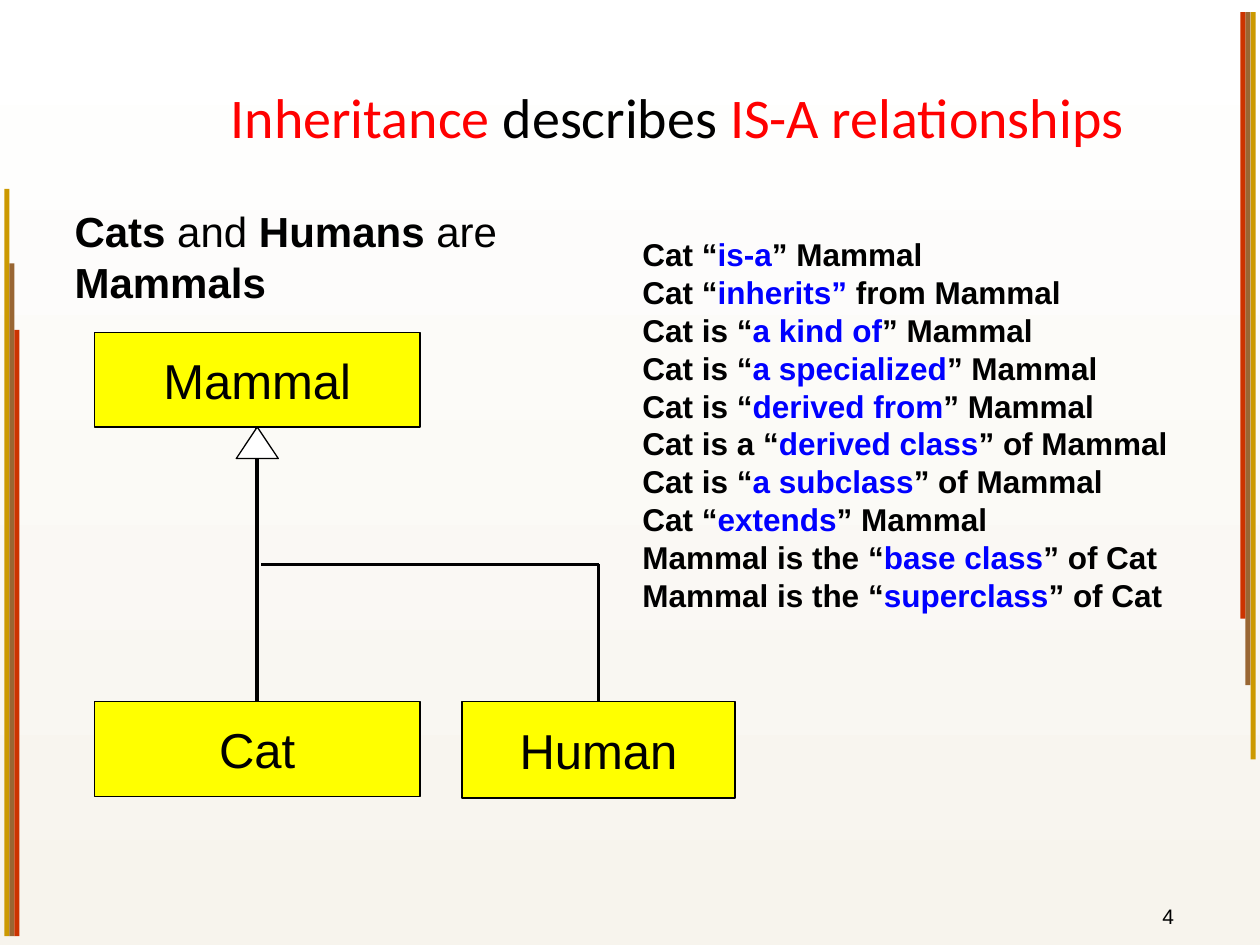
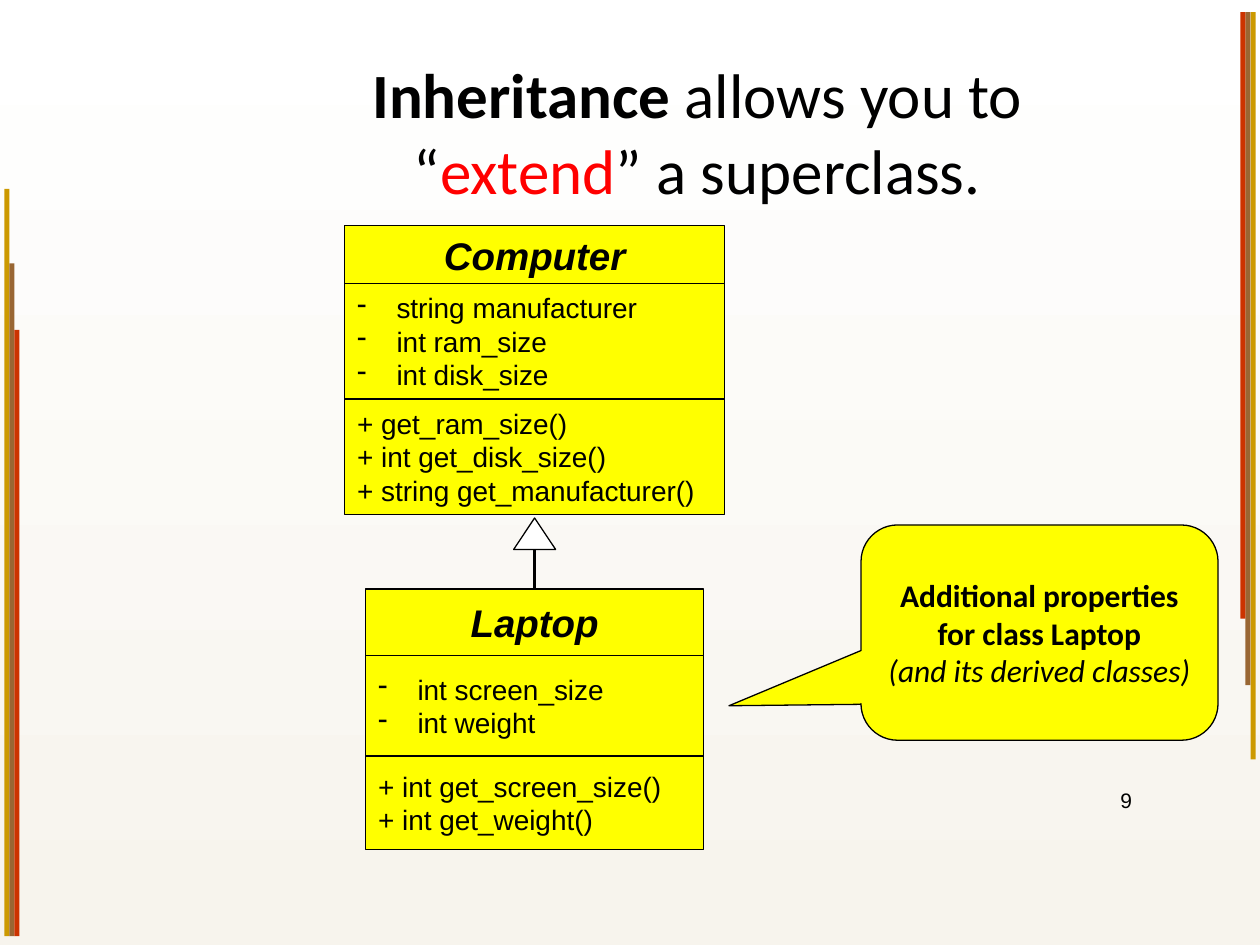
from lxml import etree
from pptx import Presentation, util as u
from pptx.dml.color import RGBColor
from pptx.enum import shapes, text
from pptx.oxml import ns

Pt = u.Pt
SHAPE = shapes.MSO_SHAPE
CENTER, RIGHT = text.PP_ALIGN.CENTER, text.PP_ALIGN.RIGHT
MIDDLE, BOTTOM = text.MSO_ANCHOR.MIDDLE, text.MSO_ANCHOR.BOTTOM
WIDTH, HEIGHT = 720, 540
COLORS = {
    "black": "000000", "white": "FFFFFF", "cream": "F7F4ED", "yellow": "FFFF00",
    "red": "FF0000", "blue": "0000FF",
    "gold": "CC9900", "brown": "996633", "rust": "CC3300",
}
BREAK = "\v"


def color(name):
    return RGBColor.from_string(COLORS[name])


def set_bullet(paragraph, bullet, indent=22.5):
    properties = paragraph._p.get_or_add_pPr()
    properties.set("marL", str(Pt(indent)))
    properties.set("indent", str(-Pt(indent)))
    etree.SubElement(properties, ns.qn("a:buChar")).set("char", bullet)


def write(frame, lines, align=None, anchor=None, wrap=True, bullet=None, **base):
    """Write lines of runs; a run is a string or (string, changed formats)."""
    frame.word_wrap = wrap
    if anchor is not None:
        frame.vertical_anchor = anchor
    for index, line in enumerate(lines):
        paragraph = frame.paragraphs[0] if index == 0 else frame.add_paragraph()
        if align is not None:
            paragraph.alignment = align
        if bullet:
            set_bullet(paragraph, bullet)
        for part in [line] if isinstance(line, str) else line:
            if part == BREAK:
                paragraph.add_line_break()
                continue
            words, changes = (part, {}) if isinstance(part, str) else part
            style = {"font": "Arial", "size": 18, "fill": "black",
                     "bold": False, "italic": False, **base, **changes}
            run = paragraph.add_run()
            run.text = words
            run.font.name = style["font"]
            run.font.size = Pt(style["size"])
            run.font.bold = style["bold"]
            run.font.italic = style["italic"]
            run.font.color.rgb = color(style["fill"])


class Deck:
    """Holds the shared style and the slide being drawn."""

    BANDS = (("gold", 427), ("brown", 384.5), ("rust", 346.5))
    BAND_WIDTH, BAND_MARGIN, BAND_END = 2.9, 2.5, 535

    def __init__(self):
        self.presentation = Presentation()
        self.presentation.slide_width = Pt(WIDTH)
        self.presentation.slide_height = Pt(HEIGHT)
        self.slide = None

    def start_slide(self, title, box, size, number, number_at):
        layout = self.presentation.slide_layouts.get_by_name("Title Only")
        self.slide = self.presentation.slides.add_slide(layout)
        self.background()
        self.bands()
        placeholder = self.slide.shapes.title
        placeholder.left, placeholder.top, placeholder.width, placeholder.height = map(Pt, box)
        write(placeholder.text_frame, [title], align=CENTER, anchor=MIDDLE,
              font="Calibri", size=size)
        self.text([number], (*number_at, 48, 24), align=RIGHT, anchor=BOTTOM, size=12)

    def background(self):
        fill = self.slide.background.fill
        fill.gradient()
        fill.gradient_angle = 270
        for stop, name in zip(fill.gradient_stops, ("white", "cream")):
            stop.color.rgb = color(name)

    def bands(self):
        # The right-hand bands are the left-hand ones turned by half a circle
        for index, (name, height) in enumerate(self.BANDS):
            left = self.BAND_MARGIN + index * self.BAND_WIDTH
            self.shape((left, self.BAND_END - height, self.BAND_WIDTH, height),
                       name, outlined=False)
            self.shape((WIDTH - left - self.BAND_WIDTH, 7, self.BAND_WIDTH, height),
                       name, outlined=False)

    def shape(self, box, fill="yellow", kind=SHAPE.RECTANGLE, outlined=True):
        shape = self.slide.shapes.add_shape(kind, *map(Pt, box))
        shape.shadow.inherit = False
        shape.fill.solid()
        shape.fill.fore_color.rgb = color(fill)
        if outlined:
            shape.line.color.rgb = color("black")
            shape.line.width = Pt(0.75)
        else:
            shape.line.fill.background()
        return shape

    def box(self, lines, box, align=CENTER, kind=SHAPE.RECTANGLE, **style):
        shape = self.shape(box, kind=kind)
        write(shape.text_frame, lines, align=align, anchor=MIDDLE, **style)
        return shape

    def text(self, lines, box, **style):
        write(self.slide.shapes.add_textbox(*map(Pt, box)).text_frame, lines, **style)

    def line(self, *ends):
        connector = self.slide.shapes.add_connector(
            shapes.MSO_CONNECTOR.STRAIGHT, *map(Pt, ends))
        connector.line.color.rgb = color("black")
        connector.line.width = Pt(2)
        etree.SubElement(connector._element.spPr, ns.qn("a:effectLst"))

    def arrowhead(self, tip_x, tip_y):
        self.shape((tip_x - 12, tip_y, 24, 18), "white", SHAPE.ISOSCELES_TRIANGLE)

    def class_box(self, name, attributes, methods, left, top, width, heights):
        """Stack the name, attribute and method cells of a class diagram."""
        left_align = text.PP_ALIGN.LEFT
        cells = (
            ([name], {"size": 22, "bold": True, "italic": True}),
            (attributes, {"size": 16, "align": left_align, "bullet": "-"}),
            (methods, {"size": 16, "align": left_align}),
        )
        for (lines, style), height in zip(cells, heights):
            self.box(lines, (left, top, width, height), **style)
            top += height


def is_a_slide(deck):
    red, blue, bold = {"fill": "red"}, {"fill": "blue"}, {"bold": True}
    deck.start_slide(
        [("Inheritance", red), " describes ", ("IS-A relationships", red)],
        (90, 21.6, 594, 90), 32, "4", (630, 510))

    # Class tree
    mammal_x, human_x = 147, 342
    mammal_bottom, branch_y, child_top = 244, 322.5, 401
    deck.box(["Mammal"], (54, 190, 186, 54), size=28)
    deck.box(["Cat"], (54, child_top, 186, 54), size=28)
    deck.box(["Human"], (264, child_top, 156, 55), size=28)
    deck.line(mammal_x, mammal_bottom, mammal_x, child_top)
    deck.line(human_x, child_top, human_x, branch_y)
    deck.line(human_x, branch_y, mammal_x + 2, branch_y)
    deck.arrowhead(mammal_x, mammal_bottom)

    # Ways to say it
    phrases = (
        ("Cat “", "is-a", "” Mammal"),
        ("Cat “", "inherits” ", "from Mammal"),
        ("Cat is “", "a kind of", "” Mammal"),
        ("Cat is “", "a specialized", "” Mammal"),
        ("Cat is “", "derived from", "” Mammal"),
        ("Cat is a “", "derived class", "” of Mammal"),
        ("Cat is “", "a subclass", "” of Mammal"),
        ("Cat “", "extends", "” Mammal"),
        ("Mammal is the “", "base class", "” of Cat"),
        ("Mammal is the “", "superclass", "” of Cat"),
    )
    deck.text([[before, (term, blue), after] for before, term, after in phrases],
              (360, 131, 326, 225), wrap=False, bold=True)
    deck.text([[("Cats", bold), " and ", ("Humans", bold), " are ", ("Mammals", bold)]],
              (35.5, 114, 336, 65.5), size=24)


def extend_slide(deck):
    deck.start_slide(
        [("Inheritance", {"bold": True}), " allows you to ", BREAK,
         "“", ("extend", {"fill": "red"}), "” a superclass. "],
        (96.5, 21, 612, 108), 36, "9", (606, 444))

    # Superclass and subclass
    deck.class_box(
        "Computer",
        ["string manufacturer", "int ram_size", "int disk_size"],
        ["+ get_ram_size()", "+ int get_disk_size()", "+ string get_manufacturer()"],
        197, 129, 217, (33, 66, 66))
    deck.class_box(
        "Laptop",
        ["int screen_size", "int weight"],
        ["+ int get_screen_size()", "+ int get_weight()"],
        209, 336.5, 193, (38, 57.5, 53.5))
    deck.line(305.5, 314, 305.5, 336.5)
    deck.arrowhead(305.5, 296)

    # Remark on the subclass
    callout = deck.box(
        [[("Additional properties for class Laptop", {"bold": True})],
         [("(and its derived classes)", {"italic": True})]],
        (492, 300, 204, 123), kind=SHAPE.ROUNDED_RECTANGULAR_CALLOUT, font="Calibri")
    for index, value in enumerate((-0.87, 0.34, 0.17)):
        callout.adjustments[index] = value


def main():
    deck = Deck()
    is_a_slide(deck)
    extend_slide(deck)
    deck.presentation.save("out.pptx")


if __name__ == "__main__":
    main()
